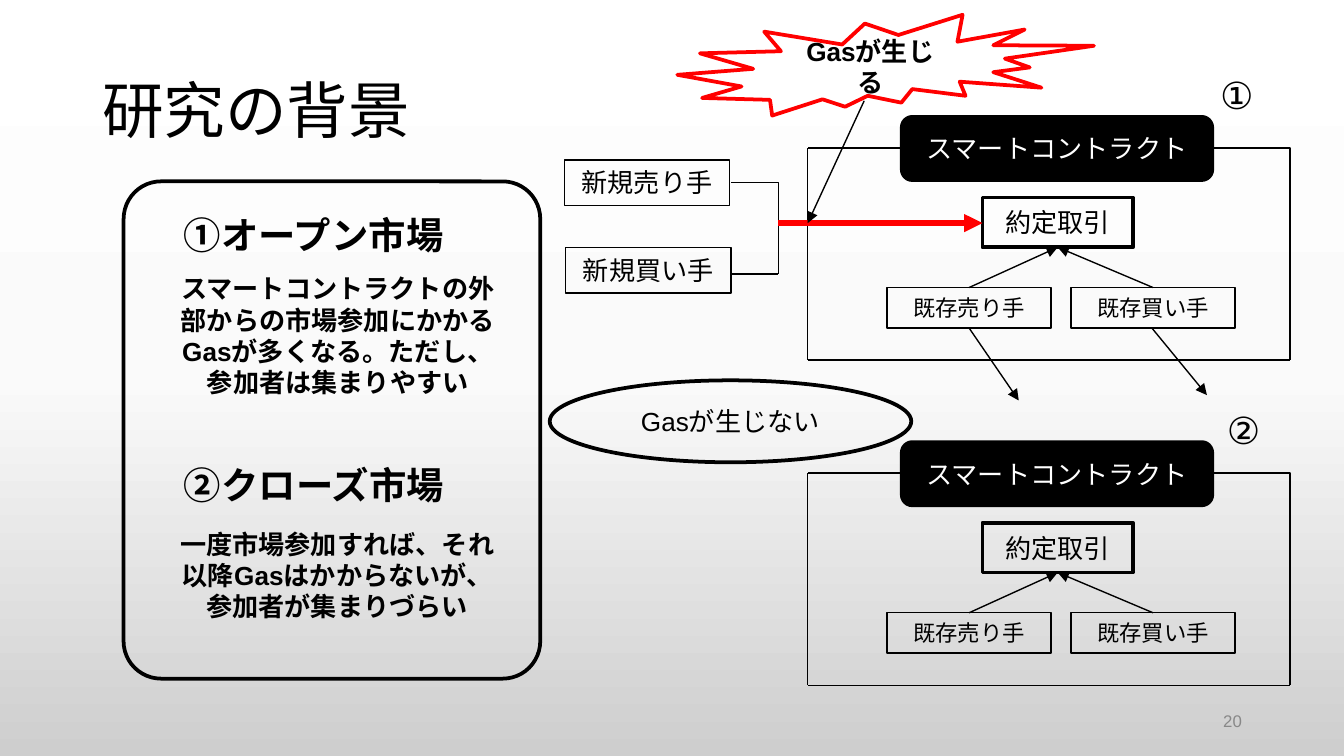
from copy import deepcopy
from dataclasses import dataclass
from typing import Optional

from pptx import Presentation
from pptx.dml.color import RGBColor
from pptx.enum.shapes import MSO_CONNECTOR, MSO_SHAPE
from pptx.enum.text import MSO_ANCHOR, PP_ALIGN
from pptx.oxml.ns import qn
from pptx.oxml.xmlchemy import OxmlElement
from pptx.util import Inches, Pt

RECTANGLE = MSO_SHAPE.RECTANGLE
ROUNDED = MSO_SHAPE.ROUNDED_RECTANGLE
OVAL = MSO_SHAPE.OVAL
BURST = MSO_SHAPE.EXPLOSION2
STRAIGHT = MSO_CONNECTOR.STRAIGHT
ELBOW = MSO_CONNECTOR.ELBOW
TOP, MIDDLE = MSO_ANCHOR.TOP, MSO_ANCHOR.MIDDLE
LEFT, CENTER, RIGHT = PP_ALIGN.LEFT, PP_ALIGN.CENTER, PP_ALIGN.RIGHT

BLACK = RGBColor(0x00, 0x00, 0x00)
WHITE = RGBColor(0xFF, 0xFF, 0xFF)
RED = RGBColor(0xFF, 0x00, 0x00)
GREY = RGBColor(0x88, 0x88, 0x88)
BACKGROUND = [
    (0.0, RGBColor(0xFF, 0xFF, 0xFF)),
    (0.5, RGBColor(0xFA, 0xFA, 0xFA)),
    (1.0, RGBColor(0xCE, 0xCE, 0xCE)),
]
FONT = "Arial"
MARKET_STEP = 2.42


@dataclass
class Label:
    left: float
    top: float
    width: float
    height: float
    text: str = ""
    size: float = 14
    bold: bool = False
    color: RGBColor = BLACK
    align: PP_ALIGN = CENTER
    anchor: MSO_ANCHOR = TOP
    inset: tuple = (0.1, 0.05)
    spacing: float = 1.0


@dataclass
class Node:
    label: Label
    kind: MSO_SHAPE = RECTANGLE
    fill: Optional[RGBColor] = None
    line: RGBColor = BLACK
    weight: float = 2
    corner: Optional[float] = None


@dataclass
class Link:
    start: tuple
    end: tuple
    arrow: bool = False
    bent: bool = False
    color: RGBColor = BLACK
    weight: float = 0.75


def bounds(label: Label) -> list:
    return [Inches(n) for n in (label.left, label.top, label.width, label.height)]


def write(box, label: Label) -> None:
    frame = box.text_frame
    frame.word_wrap = True
    frame.vertical_anchor = label.anchor
    frame.margin_left = frame.margin_right = Inches(label.inset[0])
    frame.margin_top = frame.margin_bottom = Inches(label.inset[1])
    para = frame.paragraphs[0]
    para.text = label.text
    para.alignment = label.align
    para.line_spacing = label.spacing
    para.font.name = FONT
    para.font.size = Pt(label.size)
    para.font.bold = label.bold
    para.font.color.rgb = label.color


def draw_text(page, label: Label) -> None:
    write(page.shapes.add_textbox(*bounds(label)), label)


def draw_node(page, node: Node) -> None:
    shape = page.shapes.add_shape(node.kind, *bounds(node.label))
    shape.shadow.inherit = False
    if node.fill is None:
        shape.fill.background()
    else:
        shape.fill.solid()
        shape.fill.fore_color.rgb = node.fill
    shape.line.color.rgb = node.line
    shape.line.width = Pt(node.weight)
    if node.corner is not None:
        shape.adjustments[0] = node.corner
    if node.label.text:
        write(shape, node.label)


def draw_link(page, link: Link) -> None:
    ends = [Inches(n) for n in (*link.start, *link.end)]
    connector = page.shapes.add_connector(ELBOW if link.bent else STRAIGHT, *ends)
    connector.line.color.rgb = link.color
    connector.line.width = Pt(link.weight)
    properties = connector._element.spPr
    if link.bent:
        properties.find(qn("a:prstGeom")).set("prst", "bentConnector2")
    if link.arrow:
        head = OxmlElement("a:tailEnd")
        head.set("type", "triangle")
        connector.line._get_or_add_ln().append(head)
    properties.append(OxmlElement("a:effectLst"))


def draw_market(page, shift: float) -> None:
    contract = Label(6.71, 0.87 + shift, 2.31, 0.47, "スマートコントラクト",
                     color=WHITE, anchor=MIDDLE)
    deal = Label(7.31, 1.47 + shift, 1.12, 0.37, "約定取引", anchor=MIDDLE)
    draw_node(page, Node(contract, ROUNDED, fill=BLACK))
    draw_node(page, Node(deal))
    top, bottom = 1.1 + shift, 2.68 + shift
    for link in (
        Link((6.71, top), (6.01, top)),
        Link((6.01, top), (6.01, bottom)),
        Link((6.01, bottom), (9.6, bottom)),
        Link((9.03, top), (9.6, bottom), bent=True),
    ):
        draw_link(page, link)
    for left, text in ((6.6, "既存売り手"), (7.97, "既存買い手")):
        trader = Label(left, 2.14 + shift, 1.22, 0.3, text, size=12)
        draw_node(page, Node(trader, weight=0.75))
        draw_link(page, Link((left + 0.61, 2.14 + shift), (7.87, 1.84 + shift), arrow=True))


def paint_background(page) -> None:
    fill = page.background.fill
    fill.gradient()
    fill.gradient_angle = 270
    stops = next(page.element.iter(qn("a:gsLst")))
    stops.append(deepcopy(stops[-1]))
    for stop, (position, color) in zip(fill.gradient_stops, BACKGROUND):
        stop.position = position
        stop.color.rgb = color


TEXTS = [
    Label(0.69, 0.3, 8.62, 1.09, "研究の背景", 33, align=LEFT, anchor=MIDDLE,
          inset=(0.07, 0.04), spacing=0.9),
    Label(7.06, 5.21, 2.25, 0.3, "20", 9, color=GREY, align=RIGHT, anchor=MIDDLE,
          inset=(0.07, 0.04)),
    Label(1.27, 1.53, 2.34, 0.44, "①オープン市場", 20, True, align=LEFT),
    Label(1.23, 1.98, 2.57, 1.04,
          "スマートコントラクトの外部からの市場参加にかかるGasが多くなる。ただし、参加者は集まりやすい",
          bold=True),
    Label(1.27, 3.34, 2.21, 0.54, "②クローズ市場", 20, True, align=LEFT, inset=(0.1, 0.1)),
    Label(1.23, 3.88, 2.56, 0.81,
          "一度市場参加すれば、それ以降Gasはかからないが、参加者が集まりづらい", bold=True),
    Label(8.98, 0.49, 0.92, 0.44, "①", 20, align=LEFT),
    Label(9.03, 2.98, 0.39, 0.44, "②", 20, align=LEFT),
]
LINKS = [
    Link((5.44, 2.04), (5.79, 2.04)),
    Link((5.44, 1.36), (5.79, 2.04), bent=True),
    Link((5.79, 1.66), (7.31, 1.66), arrow=True, color=RED, weight=3.25),
    Link((6.43, 0.75), (6.01, 1.66), arrow=True),
    Link((7.21, 2.44), (7.58, 2.98), arrow=True),
    Link((8.57, 2.44), (8.98, 2.94), arrow=True),
]
NODES = [
    Node(Label(0.92, 1.35, 3.1, 3.7), ROUNDED, corner=0.09),
    Node(Label(4.2, 1.19, 1.23, 0.34, "新規売り手"), weight=0.75),
    Node(Label(4.21, 1.84, 1.23, 0.34, "新規買い手"), weight=0.75),
    Node(Label(5.04, 0.11, 3.1, 0.75, "Gasが生じる", bold=True, anchor=MIDDLE),
         BURST, fill=WHITE, line=RED),
    Node(Label(4.09, 2.83, 2.69, 0.61, "Gasが生じない", anchor=MIDDLE), OVAL),
]


def main() -> None:
    deck = Presentation()
    deck.slide_width = Inches(10)
    deck.slide_height = Inches(10 * 9 / 16)
    page = deck.slides.add_slide(deck.slide_layouts[6])
    paint_background(page)
    for shift in (0, MARKET_STEP):
        draw_market(page, shift)
    for link in LINKS:
        draw_link(page, link)
    for node in NODES:
        draw_node(page, node)
    for label in TEXTS:
        draw_text(page, label)
    deck.save("out.pptx")


if __name__ == "__main__":
    main()
